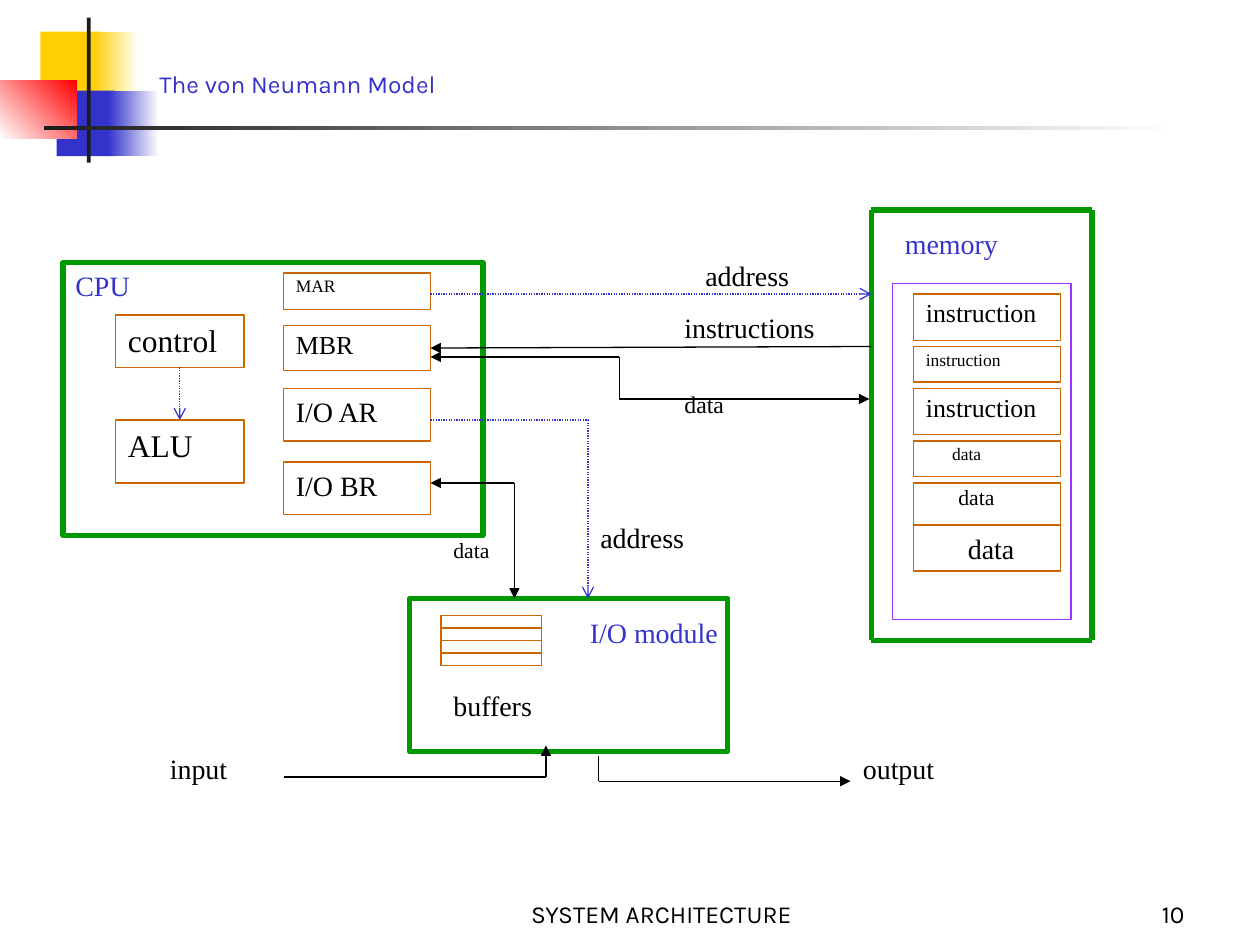
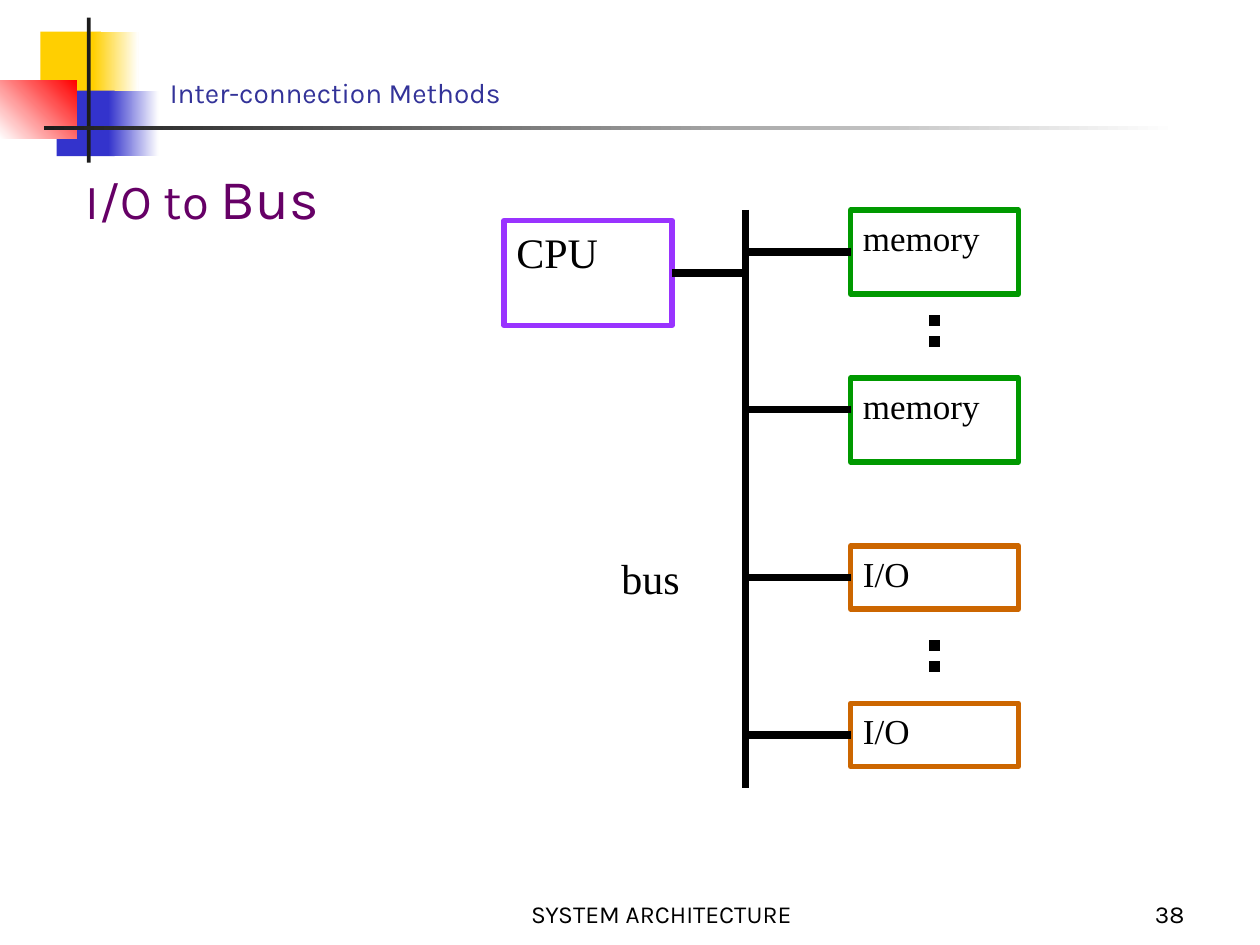
from pptx import Presentation
from pptx.dml.color import RGBColor
from pptx.enum.dml import MSO_LINE
from pptx.enum.shapes import MSO_CONNECTOR, MSO_SHAPE
from pptx.enum.text import MSO_ANCHOR, PP_ALIGN
from pptx.oxml.ns import qn
from pptx.util import Inches, Pt
from lxml.etree import SubElement

COLORS = {
    "black": "000000", "ink": "1C1C1C", "white": "FFFFFF", "gold": "FFCF01",
    "blue": "3333CC", "navy": "333399", "red": "FF0000", "green": "009900",
    "orange": "CC6600", "violet": "9933FF", "plum": "660066",
}
SANS, SERIF = "Karla", "Times New Roman"
COLS, ROWS = 120, 90
UNIT = Inches(10) / COLS
SPACING = {10: 0.8, 12.4: 0.8, 13.6: 0.9, 14.8: 0.9}
SNAP = 0.2

BANDS = [
    ((3.84, 3, 5.76, 6.24), "gold", None, 0),
    ((8.88, 3, 4.32, 6.24), "gold", "white", 0),
    ((5.4, 8.64, 5.52, 6.24), "blue", None, 0),
    ((10.32, 8.64, 4.8, 6.24), "blue", "white", 0),
    ((0, 7.68, 7.32, 5.52), "white", "red", 45),
    ((8.28, 1.68, 0.36, 13.8), "ink", None, 0),
    ((4.2, 12, 108, 0.36), "ink", "white", 0),
]
FOOTER = "SYSTEM ARCHITECTURE"

REGS = [("MAR", 26, 3.5, 10), ("MBR", 31, 4.3, 14.8),
        ("I/O AR", 37, 5, 16), ("I/O BR", 44, 5, 16)]
CELLS = [("instruction", 28, 4.4, 14.8), ("instruction", 33, 3.4, 10),
         ("instruction", 37, 4.4, 14.8), ("data", 42, 3.4, 10),
         ("data", 46, 4, 12.4), ("data", 50, 4.4, 16)]
UNITS = [("control", 30, 5, 18), ("ALU", 40, 6, 18)]
STACKS = [(27, 14, REGS), (87, 14, CELLS), (11, 12.25, UNITS)]
FRAMES = [("CPU", (6, 25, 40, 26), "green", 3),
          ("", (85, 27, 17, 32), "violet", 0.75),
          ("", (39, 57, 30.3, 14.6), "green", 3)]
BUFFERS = [(42, 58.6 + 1.2 * n, 9.6, 1.2) for n in range(4)]
WALL = [(83, 20), (104, 20), (104, 61), (83, 61), (83, 20)]
SIGNALS = [[(17, 35), (17, 40)],
           [(41, 28), (83, 28)],
           [(41, 40), (56, 40), (56, 57)]]
FLOWS = [
    ([(83, 33), (41, 33)], False),
    ([(41, 34), (59, 34), (59, 38), (76, 38), (82.8, 38)], True),
    ([(41, 46), (49, 46), (49, 57)], True),
    ([(57, 72), (57, 74.4), (81, 74.4)], False),
    ([(27, 74), (52, 74), (52, 71)], False),
]
LABELS = [
    ("input", (15, 71, 12, 6), 16, "black"),
    ("output", (81, 71, 12, 5), 16, "black"),
    ("data", (64, 36.8, 10, 4), 13.6, "black"),
    ("instructions", (64, 29, 15, 6), 16, "black"),
    ("data", (42, 51, 10, 4), 12.4, "black"),
    ("address", (66, 24, 12, 4.4), 16, "black"),
    ("address", (56, 49, 11, 5), 16, "black"),
    ("I/O module", (55, 58, 19, 4.4), 16, "blue"),
    ("buffers", (42, 65, 12, 4.4), 16, "black"),
    ("memory", (85, 21, 19, 4.4), 16, "blue"),
]

HEAD = [("I/O to ", 28), ("Bus", 32)]
PARTS = [
    ("CPU", (48, 21, 16, 10), "violet", 24),
    ("memory", (81, 20, 16, 8), "green", 20),
    ("memory", (81, 36, 16, 8), "green", 20),
    ("I/O", (81, 52, 16, 6), "orange", 20),
    ("I/O", (81, 67, 16, 6), "orange", 20),
]
BUS = 71
TAPS = [(64, BUS, 26)] + [(BUS, 81, y) for y in (24, 39, 55, 70)]
DOTS = [30, 61]


def rgb(name):
    return RGBColor.from_string(COLORS[name])


def emu(box):
    return [round(v * UNIT) for v in box]


def write(shape, runs, color, font=SERIF, align=PP_ALIGN.LEFT,
          anchor=MSO_ANCHOR.TOP, indent=0):
    frame = shape.text_frame
    frame.word_wrap = True
    frame.vertical_anchor = anchor
    para = frame.paragraphs[0]
    para.alignment = align
    para.line_spacing = SPACING.get(runs[0][1], 1.0)
    if indent:
        para._p.get_or_add_pPr().set("marL", str(Pt(indent)))
    for text, size in runs:
        run = para.add_run()
        run.text = text
        run.font.name = font
        run.font.size = Pt(size)
        run.font.color.rgb = rgb(color)


def label(slide, runs, box, color, **style):
    write(slide.shapes.add_textbox(*emu(box)), runs, color, **style)


def rect(slide, box):
    shape = slide.shapes.add_shape(MSO_SHAPE.RECTANGLE, *emu(box))
    shape.shadow.inherit = False
    return shape


def block(slide, box, color, width, text="", size=16, indent=0):
    shape = rect(slide, box)
    shape.fill.background()
    shape.line.color.rgb = rgb(color)
    shape.line.width = Pt(width)
    if text:
        ink = "blue" if text == "CPU" and size == 16 else "black"
        write(shape, [(text, size)], ink, indent=indent)
    return shape


def band(slide, box, color, fade, angle):
    shape = rect(slide, box)
    shape.line.fill.background()
    if not fade:
        shape.fill.solid()
        shape.fill.fore_color.rgb = rgb(color)
        return
    shape.fill.gradient()
    shape.fill.gradient_angle = angle
    for stop, name in zip(shape.fill.gradient_stops, (color, fade)):
        stop.color.rgb = rgb(name)


def site(blocks, spot):
    x, y = emu(spot)
    near = SNAP * UNIT
    for shape in blocks:
        left, top, wide, high = shape.left, shape.top, shape.width, shape.height
        mids = [(left + wide / 2, top), (left, top + high / 2),
                (left + wide / 2, top + high), (left + wide, top + high / 2)]
        for side, (a, b) in enumerate(mids):
            if abs(a - x) < near and abs(b - y) < near:
                return shape, side
    return None


def wire(slide, start, end, color="black", width=0.75, dash=False,
         head=None, tail=None, blocks=()):
    link = slide.shapes.add_connector(MSO_CONNECTOR.STRAIGHT, *emu(start + end))
    link.line.color.rgb = rgb(color)
    link.line.width = Pt(width)
    if dash:
        link.line.dash_style = MSO_LINE.ROUND_DOT
    props = link.element.spPr
    for tag, kind in (("a:headEnd", head), ("a:tailEnd", tail)):
        if kind:
            SubElement(props.find(qn("a:ln")), qn(tag), type=kind)
    SubElement(props, qn("a:effectLst"))
    for spot, join in ((start, link.begin_connect), (end, link.end_connect)):
        found = site(blocks, spot)
        if found:
            join(*found)


def route(slide, points, tip=None, both=False, **style):
    last = len(points) - 2
    for n, (start, end) in enumerate(zip(points, points[1:])):
        wire(slide, start, end, head=tip if both and n == 0 else None,
             tail=tip if n == last else None, **style)


def page(deck, title, box, size, color, number):
    slide = deck.slides.add_slide(deck.slide_layouts[6])
    for item in BANDS:
        band(slide, *item)
    low = {"font": SANS, "anchor": MSO_ANCHOR.BOTTOM}
    label(slide, [(FOOTER, 14)], (44, 83, 38, 6), "black",
          align=PP_ALIGN.CENTER, **low)
    label(slide, [(number, 14)], (89, 83, 25, 6), "black",
          align=PP_ALIGN.RIGHT, **low)
    label(slide, [(title, size)], box, color, **low)
    return slide


def model(deck):
    slide = page(deck, "The von Neumann Model", (14, 5, 84, 5), 14, "blue", "10")
    for text, box, color, width in FRAMES:
        block(slide, box, color, width, text)
    blocks = []
    for left, wide, rows in STACKS:
        for text, top, high, size in rows:
            indent = 1.5 * size if text == "data" else 0
            blocks.append(block(slide, (left, top, wide, high), "orange", 0.75,
                                text, size, indent))
    for box in BUFFERS:
        block(slide, box, "orange", 0.75)
    route(slide, WALL, color="green", width=3)
    for points in SIGNALS:
        route(slide, points, "arrow", color="blue", dash=True, blocks=blocks)
    for points, both in FLOWS:
        route(slide, points, "triangle", both, blocks=blocks)
    for text, box, size, color in LABELS:
        label(slide, [(text, size)], box, color)


def methods(deck):
    slide = page(deck, "Inter-connection Methods", (15, 6, 101, 5), 16, "navy", "38")
    label(slide, HEAD, (7, 15, 103, 13), "plum", font=SANS)
    wire(slide, (BUS, 20), (BUS, 75), width=4.5)
    blocks = [block(slide, box, color, 3, text, size)
              for text, box, color, size in PARTS]
    for top in DOTS:
        wire(slide, (89, top), (89, top + 4), width=6, dash=True)
    for left, right, y in TAPS:
        wire(slide, (left, y), (right, y), width=4.5, blocks=blocks)
    label(slide, [("bus", 24)], (58, 52, 10, 6), "black")


def main():
    """Build the two system architecture slides."""
    deck = Presentation()
    deck.slide_width = round(COLS * UNIT)
    deck.slide_height = round(ROWS * UNIT)
    model(deck)
    methods(deck)
    deck.save("out.pptx")


if __name__ == "__main__":
    main()
